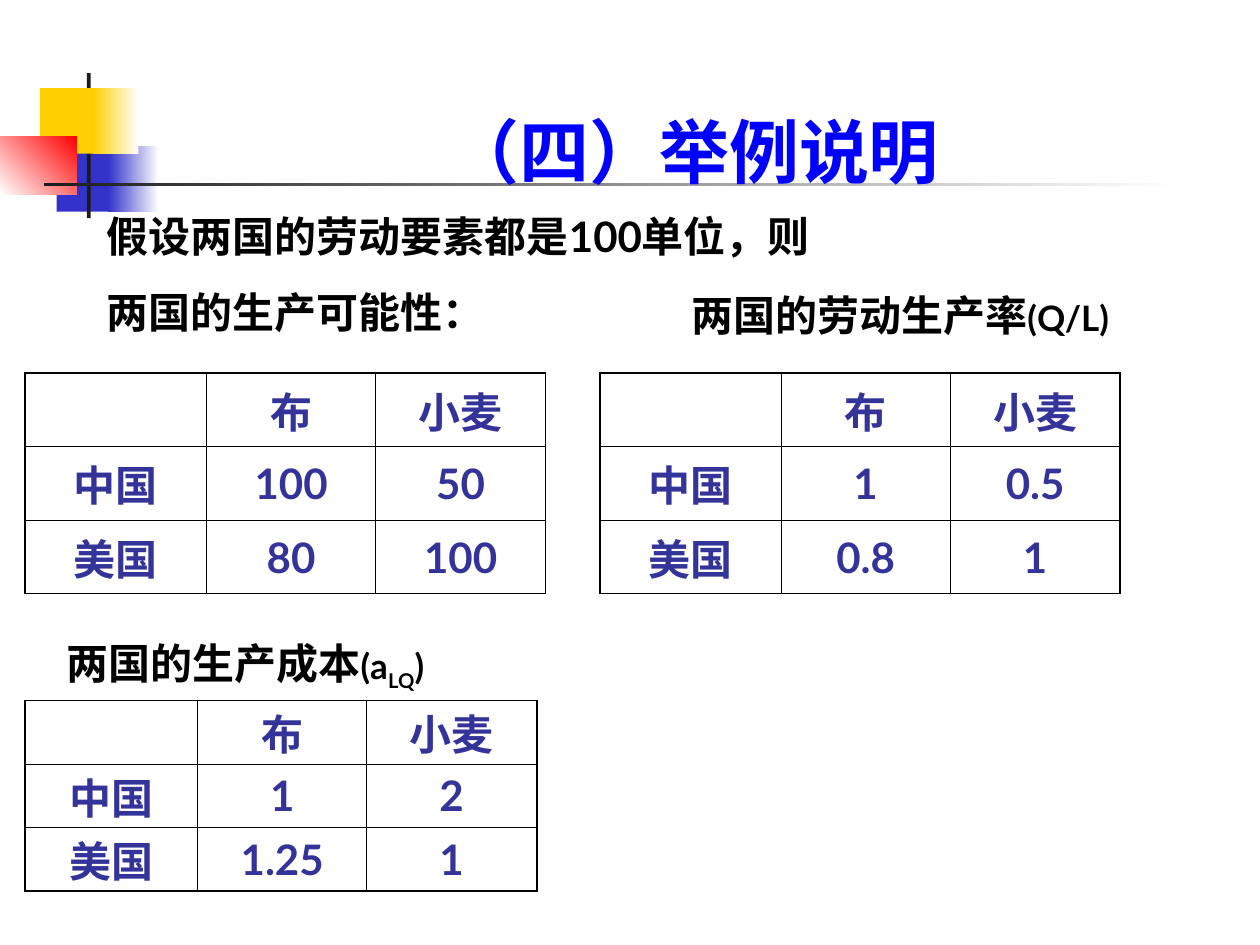
from pptx import Presentation
from pptx.dml.color import RGBColor
from pptx.enum.shapes import MSO_SHAPE
from pptx.enum.text import MSO_ANCHOR, MSO_AUTO_SIZE, PP_ALIGN
from pptx.oxml import parse_xml
from pptx.oxml.ns import nsdecls
from pptx.util import Pt

FONT = "Lato"
COLORS = {
    "white": "FFFFFF", "black": "000000", "ink": "1C1C1C", "blue": "3333CC",
    "yellow": "FFCF01", "red": "FF0000", "title": "0000FF", "cell": "333399",
}
OUTER, INNER = 1.08, 0.45

TITLE = ("（四）举例说明", (90, 23.8, 613.4, 90))
#_
DECORATION = [
    ((32.4, 83.5, 33.1, 37.4), ("blue",), 0),
    ((61.9, 83.5, 28.8, 37.4), ("white", "blue"), 180),
    ((49.7, 41.8, 2.2, 82.8), ("ink",), 0),
    ((23, 50.4, 34.6, 37.4), ("yellow",), 0),
    ((53.3, 50.4, 25.9, 37.4), ("white", "yellow"), 180),
    ((0, 77.8, 43.9, 33.1), ("red", "white"), 225),
    ((25.2, 104.4, 648, 2.2), ("white", "ink"), 180),
]
HEADER = ["", "布", "小麦"]
TABLES = [
    ((14.4, 213.1), (103.7, 96.5, 97.2), 42, 3.6,
     [HEADER, ["中国", "100", "50"], ["美国", "80", "100"]]),
    ((342.7, 213.1), (103.7, 96.5, 97.2), 42, 3.6,
     [HEADER, ["中国", "1", "0.5"], ["美国", "0.8", "1"]]),
    ((14.4, 400.3), (98.6, 96.5, 97.2), 36.3, 0,
     [HEADER, ["中国", "1", "2"], ["美国", "1.25", "1"]]),
]
LABELS = [
    ((54, 116.6, 455, 79.9),
     [[("假设两国的劳动要素都是100单位，则", 24, 0)], [("两国的生产可能性：", 24, 0)]]),
    ((388.1, 162, 264.2, 36), [[("两国的劳动生产率", 24, 0), ("(Q/L)", 20, 0)]]),
    ((31, 360.7, 264.2, 38.9),
     [[("两国的生产成本", 24, 0), ("(a", 20, 0), ("LQ", 20, -25000), (")", 20, 0)]]),
]


def rgb(name):
    return RGBColor.from_string(COLORS[name])


def style(font, size, color):
    font.name, font.size, font.bold = FONT, Pt(size), True
    font.color.rgb = rgb(color)


def add_block(shapes, box, colors, angle):
    s = shapes.add_shape(MSO_SHAPE.RECTANGLE, *map(Pt, box))
    s.shadow.inherit = False
    s.line.fill.background()
    if len(colors) == 1:
        s.fill.solid()
        s.fill.fore_color.rgb = rgb(colors[0])
        return
    s.fill.gradient()
    s.fill.gradient_angle = angle
    for stop, color in zip(s.fill.gradient_stops, colors):
        stop.color.rgb = rgb(color)


def set_borders(cell, widths):
    tc_pr = cell._tc.get_or_add_tcPr()
    for i, (side, width) in enumerate(zip("LRTB", widths)):
        tc_pr.insert(i, parse_xml(
            f'<a:ln{side} {nsdecls("a")} w="{Pt(width)}"><a:solidFill>'
            f'<a:srgbClr val="{COLORS["black"]}"/></a:solidFill></a:ln{side}>'))


def add_grid(slide, origin, widths, height, margin, rows):
    n, m = len(rows), len(widths)
    table = slide.shapes.add_table(
        n, m, *map(Pt, origin), Pt(sum(widths)), Pt(n * height)).table
    table.first_row = table.horz_banding = False
    for column, width in zip(table.columns, widths):
        column.width = Pt(width)
    for i, row in enumerate(rows):
        table.rows[i].height = Pt(height)
        for j, text in enumerate(row):
            cell = table.cell(i, j)
            cell.fill.background()
            cell.vertical_anchor = MSO_ANCHOR.MIDDLE
            cell.margin_top = cell.margin_bottom = Pt(margin)
            edges = (j == 0, j == m - 1, i == 0, i == n - 1)
            set_borders(cell, [OUTER if edge else INNER for edge in edges])
            if text:
                cell.text = text
                p = cell.text_frame.paragraphs[0]
                p.alignment = PP_ALIGN.CENTER
                style(p.runs[0].font, 24, "cell")


def add_label(slide, box, paragraphs):
    tf = slide.shapes.add_textbox(*map(Pt, box)).text_frame
    tf.word_wrap = True
    tf.auto_size = MSO_AUTO_SIZE.SHAPE_TO_FIT_TEXT
    for i, runs in enumerate(paragraphs):
        p = tf.add_paragraph() if i else tf.paragraphs[0]
        if i:
            p.space_before = Pt(15)
        for text, size, baseline in runs:
            r = p.add_run()
            r.text = text
            style(r.font, size, "black")
            if baseline:
                r._r.get_or_add_rPr().set("baseline", str(baseline))


def main():
    """Build the worked-example slide on two-country production."""
    prs = Presentation()
    prs.slide_width, prs.slide_height = Pt(720), Pt(540)
    slide = prs.slides.add_slide(prs.slide_layouts[5])

    group = slide.shapes.add_group_shape()
    for block in DECORATION:
        add_block(group.shapes, *block)

    text, box = TITLE
    title = slide.shapes.title
    title.left, title.top, title.width, title.height = map(Pt, box)
    group._element.addnext(title._element)
    tf = title.text_frame
    tf.text = text
    tf.auto_size = MSO_AUTO_SIZE.NONE
    tf.vertical_anchor = MSO_ANCHOR.BOTTOM
    tf.paragraphs[0].alignment = PP_ALIGN.CENTER
    style(tf.paragraphs[0].runs[0].font, 40, "title")

    for grid in TABLES:
        add_grid(slide, *grid)
    for label in LABELS:
        add_label(slide, *label)
    prs.save("out.pptx")


if __name__ == "__main__":
    main()
